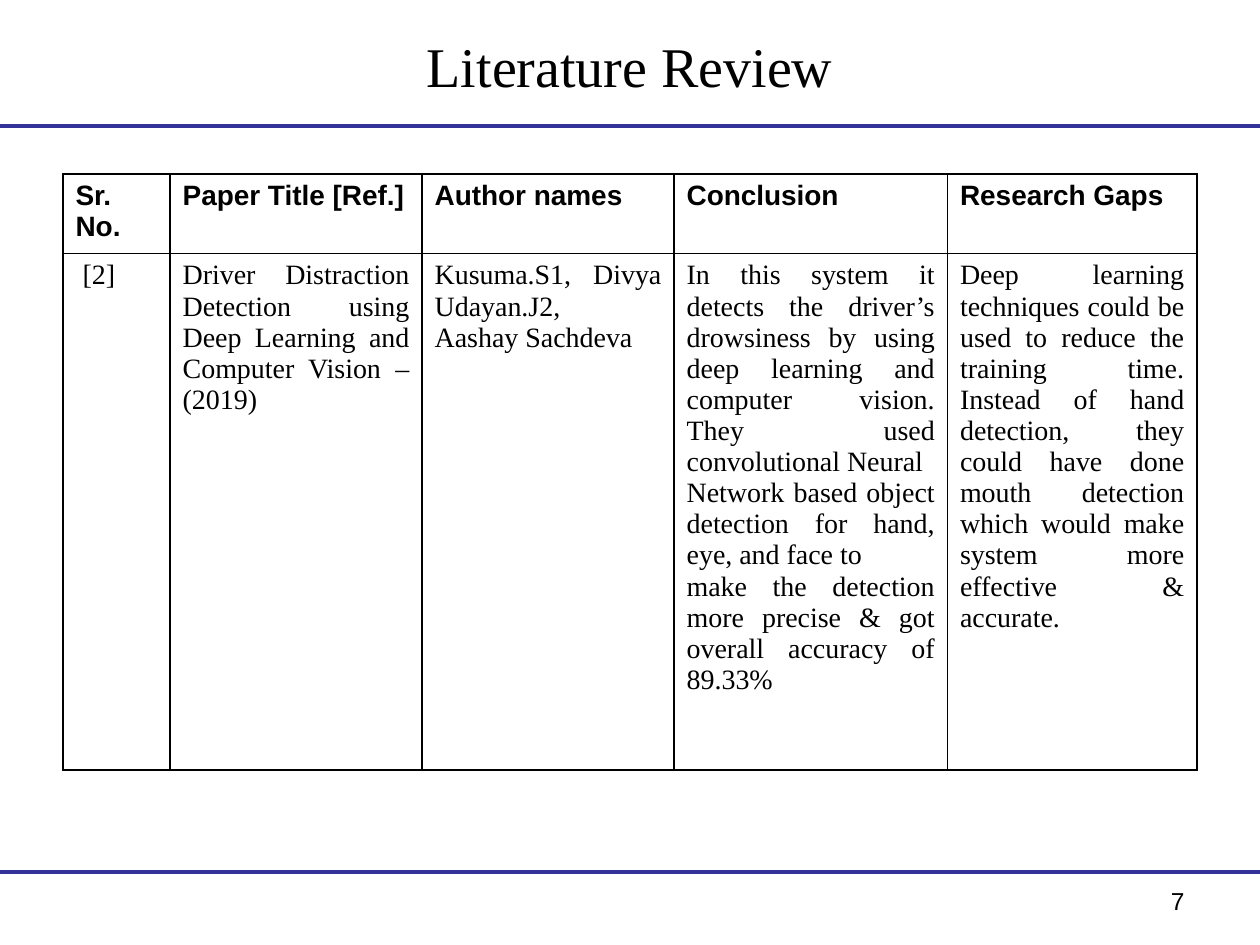
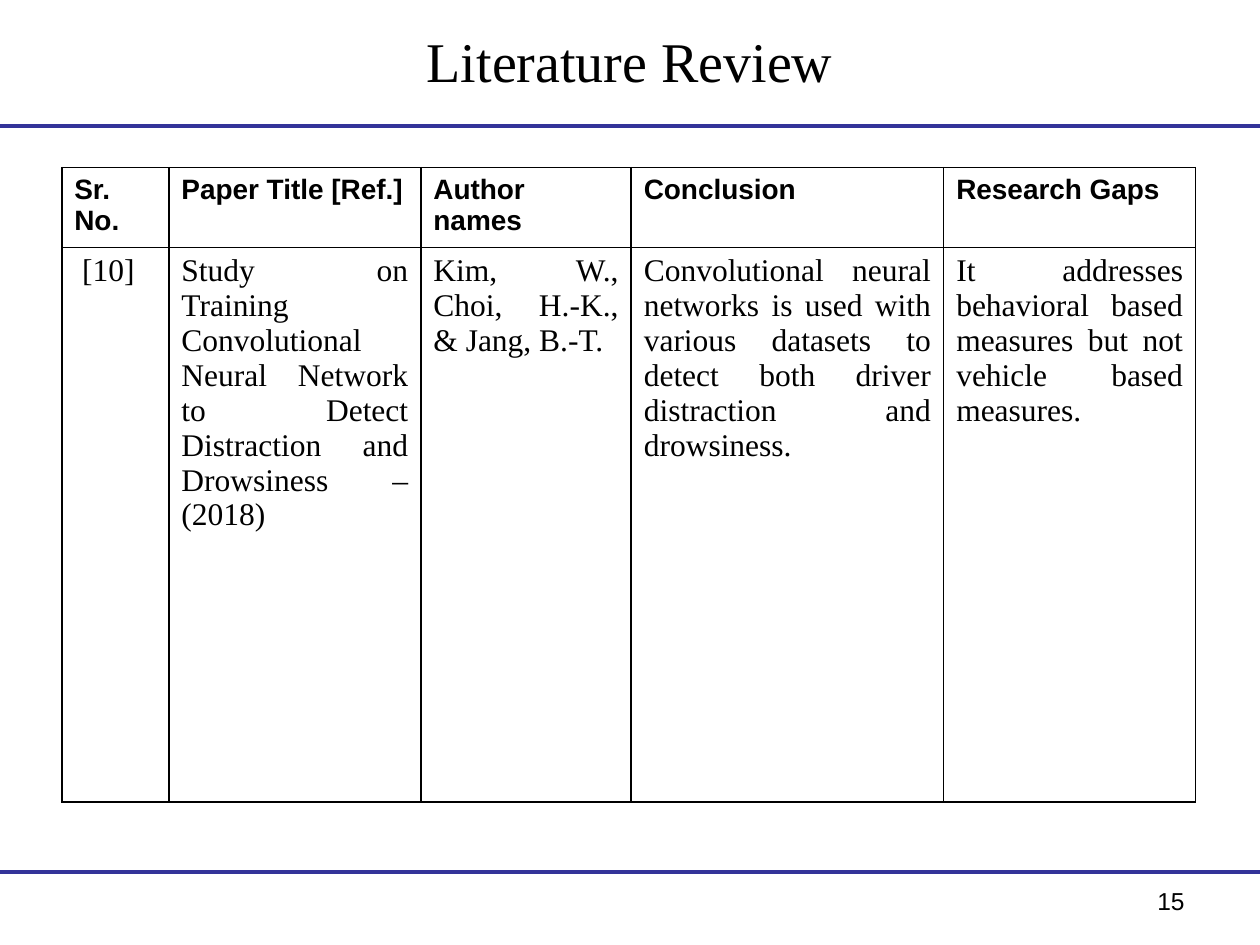
from lxml.etree import SubElement
from pptx import Presentation
from pptx.dml.color import RGBColor
from pptx.enum.shapes import MSO_CONNECTOR
from pptx.enum.text import MSO_ANCHOR, PP_ALIGN as Align
from pptx.oxml.ns import qn
from pptx.util import Inches, Pt

BLACK = RGBColor(0x00, 0x00, 0x00)
WHITE = RGBColor(0xFF, 0xFF, 0xFF)
RULE_BLUE = RGBColor(0x33, 0x33, 0x99)
SERIF, SANS = "Times New Roman", "Arial"

COLUMNS, ROWS = 100, 75  # slide grid, one unit is a tenth of an inch
MARGIN = 5
CONTENT_WIDTH = COLUMNS - 2 * MARGIN
RULE_ROWS = (10, 69.2)
HEADINGS = ("Sr. No.", "Paper Title [Ref.]", "Author names", "Conclusion", "Research Gaps")

REVIEWS = [
    dict(
        number="7", title_top=1.7, left=5, top=13.8, size=16,
        widths=(8.5, 20, 20, 21.7, 19.8), heights=(6.3, 41),
        entry=(
            " [2]",
            "Driver Distraction Detection using Deep Learning and Computer Vision – (2019)",
            "Kusuma.S1, Divya Udayan.J2,\nAashay Sachdeva",
            "In this system it detects the driver’s drowsiness by using deep learning and "
            "computer vision. They used convolutional Neural\n"
            "Network based object detection for hand, eye, and face to\n"
            "make the detection more precise & got overall accuracy of 89.33%",
            "Deep learning techniques could be used to reduce the training time. Instead of "
            "hand detection, they could have done mouth detection which would make system "
            "more effective & accurate.",
        ),
    ),
    dict(
        number="15", title_top=1.3, left=4.9, top=13.3, size=18,
        widths=(8.5, 20, 16.7, 24.8, 20), heights=(6.3, 44),
        entry=(
            " [10]",
            "Study on Training Convolutional Neural Network to Detect Distraction and "
            "Drowsiness –(2018)",
            "Kim, W., Choi, H.-K., & Jang, B.-T.",
            "Convolutional neural networks is used with various datasets to detect both "
            "driver distraction and drowsiness.",
            "It addresses behavioral based measures but not vehicle based measures.",
        ),
    ),
]


def grid(units):
    return Inches(units / 10)


def write(frame, text, size, font=SERIF, bold=False, align=Align.LEFT):
    """Fill a text frame, one paragraph for each line of text."""
    frame.word_wrap = True
    for index, line in enumerate(text.split("\n")):
        para = frame.add_paragraph() if index else frame.paragraphs[0]
        para.alignment = align
        span = para.add_run()
        span.text = line
        span.font.name, span.font.size, span.font.bold = font, Pt(size), bold
        span.font.color.rgb = BLACK


def add_text(page, left, top, width, height, text, anchor=MSO_ANCHOR.TOP, **style):
    box = page.shapes.add_textbox(*map(grid, (left, top, width, height)))
    box.text_frame.vertical_anchor = anchor
    write(box.text_frame, text, **style)


def add_rule(page, row):
    rule = page.shapes.add_connector(
        MSO_CONNECTOR.STRAIGHT, 0, grid(row), grid(COLUMNS), grid(row))
    rule.line.color.rgb = RULE_BLUE
    rule.line.width = Pt(2.25)
    SubElement(rule._element.spPr, qn("a:effectLst"))


def frame_cell(cell):
    """Give a cell thin black borders and a white fill."""
    properties = cell._tc.get_or_add_tcPr()
    for side in ("L", "R", "T", "B"):
        border = SubElement(properties, qn(f"a:ln{side}"), w=str(Pt(1)))
        fill = SubElement(border, qn("a:solidFill"))
        SubElement(fill, qn("a:srgbClr"), val=str(BLACK))
    cell.fill.solid()
    cell.fill.fore_color.rgb = WHITE


def add_review_table(page, left, top, widths, heights, entry, size):
    table = page.shapes.add_table(
        len(heights), len(widths), grid(left), grid(top),
        grid(sum(widths)), grid(sum(heights))).table
    for column, width in zip(table.columns, widths):
        column.width = grid(width)
    for row, height in zip(table.rows, heights):
        row.height = grid(height)
    for index, (heading, finding) in enumerate(zip(HEADINGS, entry)):
        header, body = table.cell(0, index), table.cell(1, index)
        frame_cell(header)
        frame_cell(body)
        write(header.text_frame, heading, 16, font=SANS, bold=True)
        write(body.text_frame, finding, size, align=Align.JUSTIFY if index else Align.LEFT)


def add_review_page(deck, number, title_top, **table):
    page = deck.slides.add_slide(deck.slide_layouts[6])
    for row in RULE_ROWS:
        add_rule(page, row)
    add_text(page, 71.7, 69.8, 23.3, 5.2, number, size=14, font=SANS, align=Align.RIGHT)
    add_text(page, MARGIN, title_top, CONTENT_WIDTH, 7, "Literature Review",
             anchor=MSO_ANCHOR.MIDDLE, size=32, align=Align.CENTER)
    add_review_table(page, **table)


def main():
    deck = Presentation()
    deck.slide_width, deck.slide_height = grid(COLUMNS), grid(ROWS)
    for review in REVIEWS:
        add_review_page(deck, **review)
    deck.save("out.pptx")


if __name__ == "__main__":
    main()
